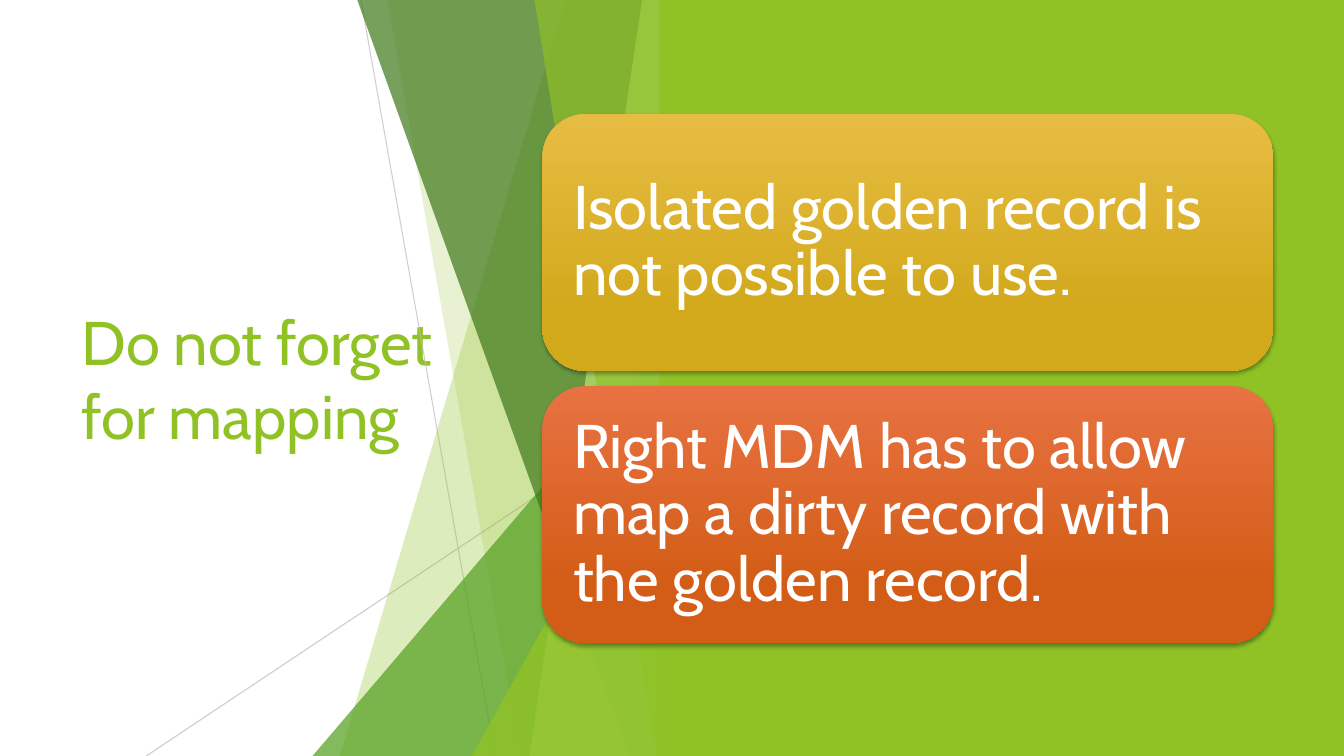
from lxml.etree import SubElement
from pptx import Presentation
from pptx.dml.color import RGBColor
from pptx.enum.shapes import MSO_CONNECTOR as Connector, MSO_SHAPE as Shape
from pptx.enum.text import MSO_ANCHOR as Anchor, MSO_AUTO_SIZE as AutoSize, PP_ALIGN as Align
from pptx.oxml.ns import qn
from pptx.util import Inches, Pt

GREEN, DARK_GREEN, MID_GREEN, PALE_GREEN = "90C226", "3F7819", "54A021", "C0E474"
WHITE, GRAY = "FFFFFF", "BFBFBF"
WIDTH, HEIGHT = 13.33, 7.5

# Facets: (kind, offset at the top, offset at the foot, colour, opacity)
# Triangles: (kind, left offset, top, colour, opacity)
FACETS = [
    ("band", 2.51, 0.27, GREEN, 30),
    ("band", 0.74, 2.06, GREEN, 20),
    ("triangle", 0, 3.33, MID_GREEN, 72),
    ("band", 0.44, 3.14, DARK_GREEN, 70),
    ("band", 3.27, 2.15, PALE_GREEN, 70),
    ("band", 2.2, 3.41, GREEN, 65),
    ("triangle", 1.58, 3.93, GREEN, 80),
]
# Thin lines: (x1, y1, x2, y2, opacity), x as an offset
THIN_LINES = [(0.48, 0, 1.81, 7.5, 75), (3.56, 4.03, -1.65, 7.5, 80)]

CARDS = [
    ("Isolated golden record is not possible to use.", "E7BC43", "D2A91B"),
    ("Right MDM has to allow map a dirty record with the golden record.", "E87242", "D35D16"),
]


def color(hex_value):
    return RGBColor.from_string(hex_value)


def set_opacity(shape, percent):
    for element in shape.element.spPr.iter(qn("a:srgbClr")):
        SubElement(element, qn("a:alpha"), val=str(percent * 1000))


def fill_plain(shape, hex_value):
    shape.shadow.inherit = False
    shape.fill.solid()
    shape.fill.fore_color.rgb = color(hex_value)
    shape.line.fill.background()


def write_text(shape, text, hex_value, inset, line_spacing):
    frame = shape.text_frame
    frame.text = text
    margins = {f"margin_{side}": Inches(inset) for side in ("left", "top", "right", "bottom")}
    frame_format = {"word_wrap": True, "auto_size": AutoSize.NONE,
                    "vertical_anchor": Anchor.MIDDLE, **margins}
    paragraph = frame.paragraphs[0]
    paragraph_format = {"alignment": Align.LEFT, "line_spacing": line_spacing}
    font = paragraph.runs[0].font
    font_format = {"name": "Cabin", "size": Pt(44)}
    for target, values in ((frame, frame_format), (paragraph, paragraph_format),
                           (font, font_format)):
        for name, value in values.items():
            setattr(target, name, value)
    font.color.rgb = color(hex_value)


def add_title(slide, left, top, width, height):
    title = slide.shapes.title
    title.left, title.top, title.width, title.height = map(Inches, (left, top, width, height))
    write_text(title, "Do not forget for mapping", GREEN, 0.1, 1.0)


def add_facets(slide, left, top, width, height):
    right, bottom = left + width, top + height

    # Thin lines
    for x1, y1, x2, y2, opacity in THIN_LINES:
        line = slide.shapes.add_connector(
            Connector.STRAIGHT, *map(Inches, (left + x1, y1, left + x2, y2)))
        line.line.color.rgb = color(GRAY)
        line.line.width = Pt(0.75)
        SubElement(line.element.spPr, qn("a:effectLst"))
        set_opacity(line, opacity)

    # Translucent bands and triangles
    for kind, offset, second, hex_value, opacity in FACETS:
        x = left + offset
        if kind == "band":
            builder = slide.shapes.build_freeform(Inches(x), Inches(top))
            corners = [(right, top), (right, bottom), (left + second, bottom)]
            builder.add_line_segments([(Inches(a), Inches(b)) for a, b in corners])
            facet = builder.convert_to_shape()
        else:
            facet = slide.shapes.add_shape(
                Shape.ISOSCELES_TRIANGLE,
                *map(Inches, (x, second, right - x, bottom - second)))
            facet.adjustments[0] = 1
        fill_plain(facet, hex_value)
        set_opacity(facet, opacity)


def add_panel(slide, left, top, width, height):
    panel = slide.shapes.add_shape(Shape.RECTANGLE, *map(Inches, (left, top, width, height)))
    fill_plain(panel, GREEN)


def add_cards(slide, left, top, width, height):
    gap = 0.15
    card_height = (height - gap * (len(CARDS) - 1)) / len(CARDS)
    for index, (text, light, deep) in enumerate(CARDS):
        card_top = top + index * (card_height + gap)
        card = slide.shapes.add_shape(
            Shape.ROUNDED_RECTANGLE, *map(Inches, (left, card_top, width, card_height)))
        card.line.fill.background()

        # Vertical gradient
        card.fill.gradient()
        card.fill.gradient_angle = 270
        for stop, position, hex_value in zip(card.fill.gradient_stops, (0, 0.78), (light, deep)):
            stop.position = position
            stop.color.rgb = color(hex_value)

        # Soft shadow below the card
        card.shadow.inherit = False
        effects = card.element.spPr.find(qn("a:effectLst"))
        shadow = SubElement(effects, qn("a:outerShdw"), blurRad=str(Pt(3)), dist=str(Pt(2)),
                            dir="5400000", rotWithShape="0")
        shadow_color = SubElement(shadow, qn("a:srgbClr"), val="000000")
        SubElement(shadow_color, qn("a:alpha"), val="35000")

        write_text(card, text, WHITE, 0.18, 0.9)


def main():
    presentation = Presentation()
    presentation.slide_width, presentation.slide_height = Inches(WIDTH), Inches(HEIGHT)
    slide = presentation.slides.add_slide(presentation.slide_layouts[5])
    add_title(slide, 0.71, 1.51, 3.88, 4.48)
    add_facets(slide, 3.1, -0.01, 3.56, 7.51)
    add_panel(slide, 6.54, 0, WIDTH - 6.54, HEIGHT)
    add_cards(slide, 5.38, 1.13, 7.25, 5.25)
    presentation.save("out.pptx")


if __name__ == "__main__":
    main()
